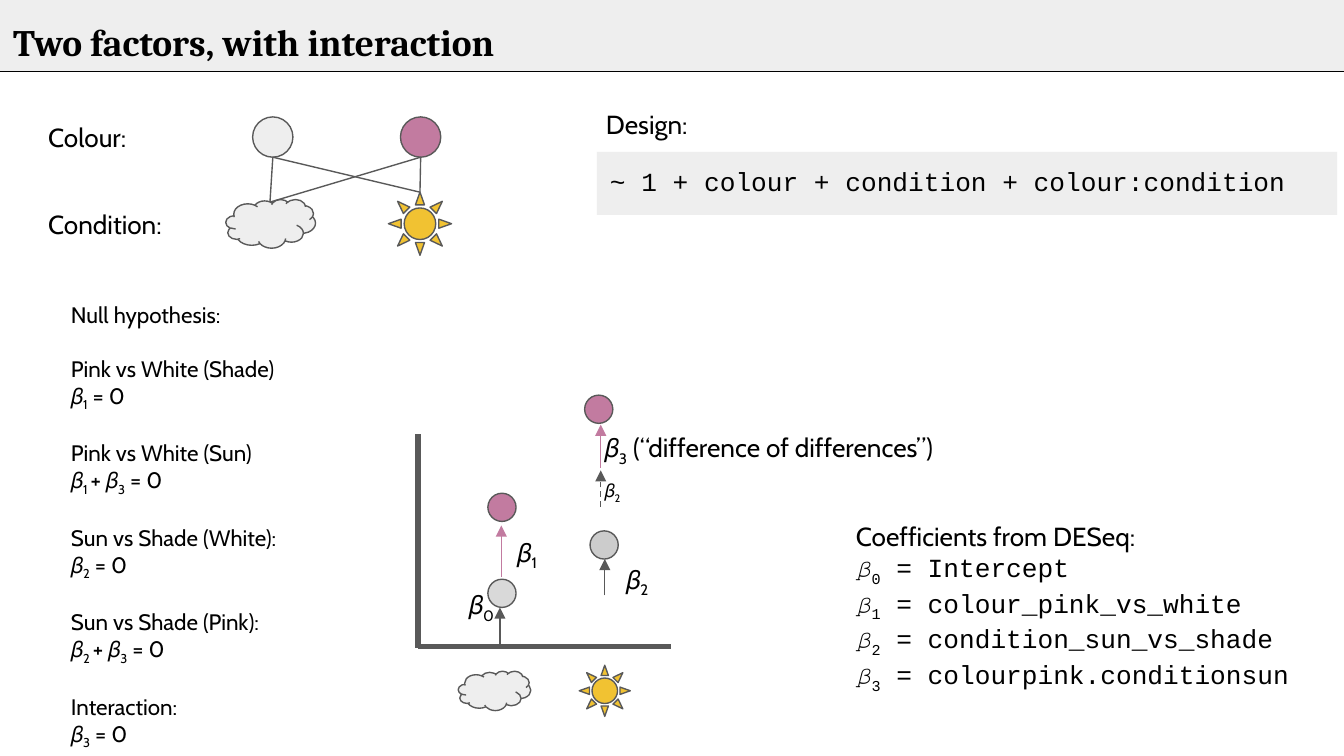
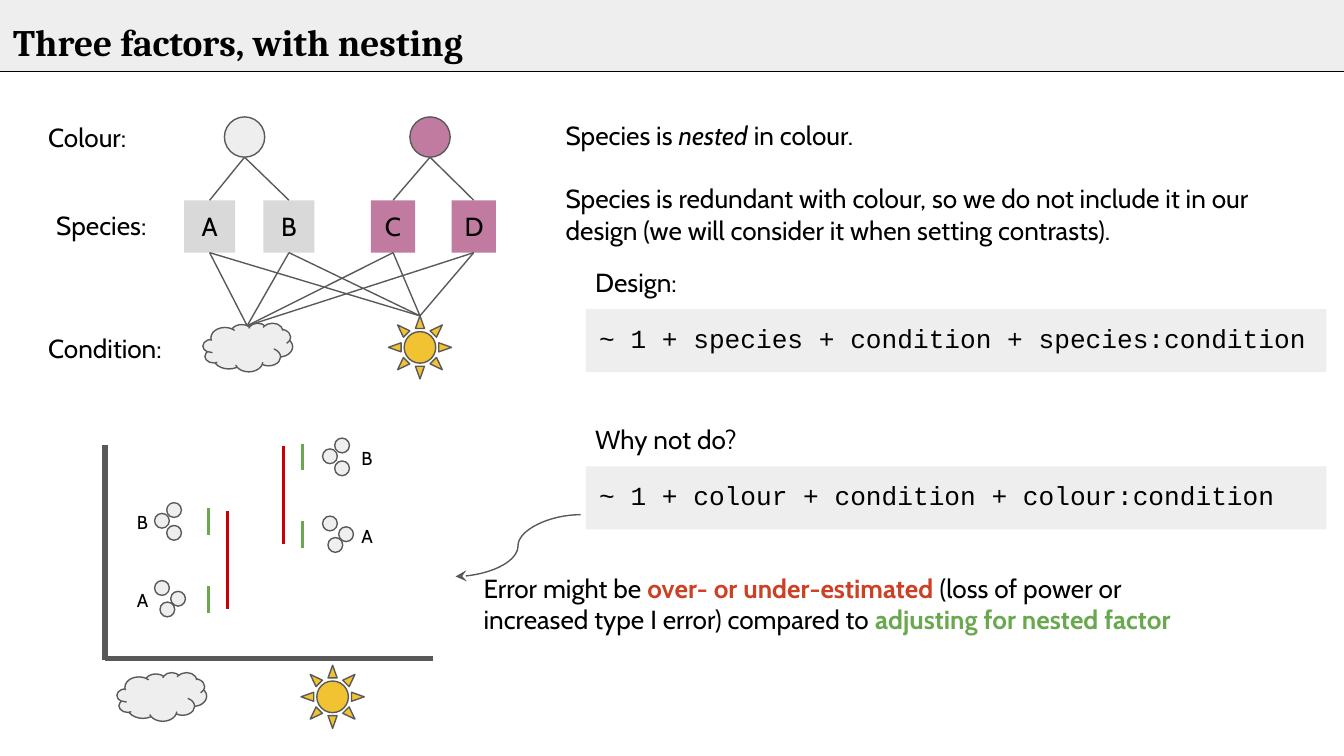
import dataclasses

import lxml.etree
import pptx
import pptx.dml.color
import pptx.enum.dml
import pptx.enum.shapes
import pptx.enum.text
import pptx.oxml.ns
import pptx.util

Inches = pptx.util.Inches
SHAPE = pptx.enum.shapes.MSO_SHAPE
CONNECTOR = pptx.enum.shapes.MSO_CONNECTOR


@dataclasses.dataclass(frozen=True)
class Theme:
    """Colours, fonts and type sizes shared by the slides."""
    ink: str = "000000"
    outline: str = "595959"
    panel: str = "EEEEEE"
    white_flower: str = "EEEEEE"
    pale: str = "EFEFEF"
    light: str = "D9D9D9"
    medium: str = "CCCCCC"
    pink: str = "C27BA0"
    sun: str = "F1C232"
    total_error: str = "CC0000"
    nested_error: str = "6AA84F"
    warning: str = "CC4125"
    body_font: str = "Cabin"
    title_font: str = "Cambria"
    code_font: str = "Courier New"
    title_size: float = 20
    body_size: float = 14
    list_size: float = 12
    small_size: float = 10
    thin: float = 0.75
    medium_line: float = 1.5
    thick: float = 3


THEME = Theme()


def rgb(colour):
    """Turn a hex string into a colour."""
    return pptx.dml.color.RGBColor.from_string(colour)


def plain(text):
    """Return one paragraph with a single unstyled span."""
    return [(text, "")]


def beta(index, rest=""):
    """Return the spans of a coefficient with its subscript."""
    return [("𝛽", ""), (index, "sub")] + ([(rest, "")] if rest else [])


def style_span(span, style, size, font, bold):
    """Format one run according to its style name."""
    colours = {"warning": THEME.warning, "adjusted": THEME.nested_error}
    span.font.size = pptx.util.Pt(size)
    span.font.name = font
    span.font.bold = bold or style in colours
    span.font.italic = style == "italic"
    span.font.color.rgb = rgb(colours.get(style, THEME.ink))
    if style == "sub":
        span.font._element.set("baseline", "-25000")


def write(box, paragraphs, size=THEME.body_size, font=THEME.body_font, bold=False, centred=False):
    """Fill a shape with paragraphs of styled spans."""
    frame = box.text_frame
    frame.word_wrap = True
    frame.margin_left = frame.margin_right = Inches(0.1)
    frame.margin_top = frame.margin_bottom = Inches(0.1)
    anchor = pptx.enum.text.MSO_ANCHOR
    frame.vertical_anchor = anchor.MIDDLE if centred else anchor.TOP
    for number, spans in enumerate(paragraphs):
        para = frame.add_paragraph() if number else frame.paragraphs[0]
        align = pptx.enum.text.PP_ALIGN
        para.alignment = align.CENTER if centred else align.LEFT
        for text, style in spans:
            span = para.add_run()
            span.text = text
            style_span(span, style, size, font, bold)
    return frame


def add_text(page, left, top, width, height, paragraphs, **style):
    """Place a text box and return its frame."""
    box = page.shapes.add_textbox(Inches(left), Inches(top), Inches(width), Inches(height))
    return write(box, paragraphs, **style)


def add_shape(page, kind, left, top, width, height, fill, outlined=True):
    """Place a flat filled shape."""
    shape = page.shapes.add_shape(kind, Inches(left), Inches(top), Inches(width), Inches(height))
    shape.shadow.inherit = False
    shape.fill.solid()
    shape.fill.fore_color.rgb = rgb(fill)
    if outlined:
        shape.line.color.rgb = rgb(THEME.outline)
        shape.line.width = pptx.util.Pt(THEME.thin)
    else:
        shape.line.fill.background()
    return shape


def add_line(page, start, end, colour=THEME.outline, width=THEME.thin,
             head=None, dashed=False, kind=CONNECTOR.STRAIGHT):
    """Draw a connector, with an arrowhead at its end if one is named."""
    line = page.shapes.add_connector(kind, *(Inches(value) for value in (*start, *end)))
    line.line.color.rgb = rgb(colour)
    line.line.width = pptx.util.Pt(width)
    if dashed:
        line.line.dash_style = pptx.enum.dml.MSO_LINE.DASH
    if head:
        stroke = line.line._get_or_add_ln()
        lxml.etree.SubElement(stroke, pptx.oxml.ns.qn("a:tailEnd"), type=head)
    lxml.etree.SubElement(line._element.spPr, pptx.oxml.ns.qn("a:effectLst"))
    return line


def add_dot(page, left, top, size, fill):
    """Draw a flower dot and return the middle of its lower edge."""
    add_shape(page, SHAPE.OVAL, left, top, size, size, fill)
    return left + size / 2, top + size


def condition_icons(page, cloud_left, sun_left, top, size):
    """Draw shade and sun, and return where links reach them."""
    cloud_height = 0.77 * size
    cloud_top = top + (size - cloud_height) / 2
    add_shape(page, SHAPE.CLOUD, cloud_left, cloud_top, 1.42 * size, cloud_height, THEME.panel)
    add_shape(page, SHAPE.SUN, sun_left, top, size, size, THEME.sun)
    return (cloud_left + 0.7 * size, cloud_top + 0.02), (sun_left + size / 2, top)


def factor_label(page, left, top, text):
    """Name one row of a factor diagram."""
    add_text(page, left, top, 1.08, 0.57, [plain(text)])


def design_panel(page, left, top, caption, code, caption_width=0.91):
    """Show a model formula on a grey panel below its caption."""
    add_text(page, left - 0.03, top - 0.42, caption_width, 0.47, [plain(caption)])
    panel = add_shape(page, SHAPE.RECTANGLE, left, top, 5.51, 0.47, THEME.panel, False)
    write(panel, [plain(code)], font=THEME.code_font)


def plot_axes(page, left, top, width, height):
    """Draw the two thick axes of a plot."""
    base = top + height
    add_line(page, (left, base), (left + width, base), width=THEME.thick)
    add_line(page, (left, base + 0.01), (left, top), width=THEME.thick)


def crossed_diagram(page, left, top):
    """Show every colour linked to every condition."""
    factor_label(page, left, top, "Colour:")
    factor_label(page, left, top + 0.65, "Condition:")
    white = add_dot(page, left + 1.62, top + 0.07, 0.3, THEME.white_flower)
    pink = add_dot(page, left + 2.72, top + 0.07, 0.3, THEME.pink)
    conditions = condition_icons(page, left + 1.42, left + 2.63, top + 0.63, 0.47)
    for colour in (white, pink):
        for condition in conditions:
            add_line(page, colour, condition)


def nested_diagram(page, left, top):
    """Show species nested in colour and crossed with condition."""
    for dx, dy, text in ((0, 0, "Colour:"), (0.06, 0.66, "Species:"), (0, 1.57, "Condition:")):
        factor_label(page, left + dx, top + dy, text)
    conditions = condition_icons(page, left + 1.25, left + 2.63, top + 1.55, 0.47)
    colours = (
        (1.41, THEME.white_flower, THEME.light, 0.38, (("A", 1.11), ("B", 1.7))),
        (2.79, THEME.pink, THEME.pink, 0.33, (("C", 2.5), ("D", 3.1))),
    )
    for dot_dx, dot_fill, fill, width, species in colours:
        parent = add_dot(page, left + dot_dx, top + 0.07, 0.3, dot_fill)
        for name, dx in species:
            box = add_shape(page, SHAPE.RECTANGLE, left + dx, top + 0.69, width, 0.39, fill, False)
            write(box, [plain(name)], centred=True)
            middle = left + dx + width / 2
            add_line(page, parent, (middle, top + 0.69)).end_connect(box, 0)
            for condition in conditions:
                add_line(page, (middle, top + 1.08), condition).begin_connect(box, 2)


def hypotheses(page, left, top):
    """List the null hypothesis of each contrast."""
    contrasts = (
        ("Pink vs White (Shade)", beta("1", " = 0")),
        ("Pink vs White (Sun)", beta("1 ", "+ ") + beta("3", " = 0")),
        ("Sun vs Shade (White):", beta("2", " = 0")),
        ("Sun vs Shade (Pink):", beta("2 ", "+ ") + beta("3", " = 0")),
        ("Interaction:", beta("3", " = 0")),
    )
    paragraphs = [plain("Null hypothesis:")]
    for name, equation in contrasts:
        paragraphs += [plain(name), equation]
    frame = add_text(page, left, top, 2.24, 3.43, paragraphs, size=THEME.list_size)
    for para in frame.paragraphs[1::2]:
        para.space_before = pptx.util.Pt(14.5)


def interaction_plot(page, left, top):
    """Plot the four group means and the coefficients between them."""
    plot_axes(page, left, top, 1.88, 1.58)
    condition_icons(page, left + 0.3, left + 1.2, top + 1.72, 0.38)
    dots = ((0.52, 1.08, THEME.light), (0.52, 0.44, THEME.pink),
            (1.28, 0.72, THEME.medium), (1.24, -0.29, THEME.pink))
    for dx, dy, fill in dots:
        add_dot(page, left + dx, top + dy, 0.21, fill)
    arrows = ((0.61, 1.56, 1.29, THEME.outline, False), (0.62, 1.06, 0.68, THEME.pink, False),
              (1.39, 1.2, 0.93, THEME.outline, False), (1.36, 0.54, 0.27, THEME.outline, True),
              (1.36, 0.25, -0.07, THEME.pink, False))
    for dx, start, end, colour, dashed in arrows:
        add_line(page, (left + dx, top + start), (left + dx, top + end), colour,
                 head="triangle", dashed=dashed)
    big, small = THEME.body_size, THEME.small_size
    labels = ((0.28, 1.05, 0.54, big, beta("0")), (0.64, 0.66, 0.54, big, beta("1")),
              (1.45, 0.86, 0.54, big, beta("2")), (1.29, 0.24, 0.54, small, beta("2")),
              (1.29, -0.12, 4.18, big, beta("3", " (“difference of differences”)")))
    for dx, dy, width, size, spans in labels:
        add_text(page, left + dx, top + dy, width, 0.47, [spans], size=size)


def coefficients(page, left, top):
    """Match each coefficient with its name in the results."""
    names = ("Intercept", "colour_pink_vs_white", "condition_sun_vs_shade", "colourpink.conditionsun")
    paragraphs = [plain("Coefficients from DESeq:")]
    paragraphs += [beta(str(index), f" = {name}") for index, name in enumerate(names)]
    frame = add_text(page, left, top, 3.47, 1.59, paragraphs, font=THEME.code_font)
    frame.paragraphs[0].runs[0].font.name = THEME.body_font


def nested_plot(page, left, top):
    """Plot replicates per species with nested and total error bars."""
    plot_axes(page, left, top, 2.44, 1.59)
    condition_icons(page, left + 0.09, left + 1.46, top + 1.64, 0.47)
    clusters = (("B", 0, ((0.09, 0), (0, 0.08), (0.09, 0.17))),
                ("A", 0.58, ((0, 0), (0.12, 0.08), (0.04, 0.16))))
    columns = ((0.37, 0.14, 0.77, 0.91, 0.43, THEME.white_flower),
               (1.62, 1.81, 1.47, 1.33, -0.05, THEME.pale))
    for dots_dx, name_dx, nested_dx, total_dx, column_dy, fill in columns:
        column_top = top + column_dy
        for name, dy, replicates in clusters:
            cluster_top = column_top + dy
            for dot_dx, dot_dy in replicates:
                add_dot(page, left + dots_dx + dot_dx, cluster_top + dot_dy, 0.11, fill)
            add_text(page, left + name_dx, cluster_top - 0.02, 0.33, 0.36,
                     [plain(name)], size=THEME.small_size)
            nested = left + nested_dx
            add_line(page, (nested, cluster_top + 0.04), (nested, cluster_top + 0.24),
                     THEME.nested_error, THEME.medium_line)
        total = left + total_dx
        add_line(page, (total, column_top + 0.06), (total, column_top + 0.79),
                 THEME.total_error, THEME.medium_line)


def nesting_notes(page, left, top):
    """Explain why species replaces colour in the design."""
    frame = add_text(page, left, top, 5.51, 0.96, [
        [("Species is ", ""), ("nested", "italic"), (" in colour.", "")],
        plain("Species is redundant with colour, so we do not include it in our design "
              "(we will consider it when setting contrasts)."),
    ])
    frame.paragraphs[1].space_before = pptx.util.Pt(17)


def error_note(page, left, top):
    """Warn about the error estimate, with an arrow to the plot."""
    add_line(page, (left + 0.82, top - 0.33), (left - 0.11, top + 0.13),
             head="stealth", kind=CONNECTOR.CURVE)
    add_text(page, left, top, 5.51, 0.74, [[
        ("Error might be ", ""), ("over- or under-estimated", "warning"),
        (" (loss of power or increased type I error) compared to ", ""),
        ("adjusting for nested factor", "adjusted"),
    ]])


def titled_page(deck, title):
    """Add a slide with the grey band, its rule and the title."""
    page = deck.slides.add_slide(deck.slide_layouts[6])
    add_shape(page, SHAPE.RECTANGLE, 0, 0, 10, 0.53, THEME.panel, False)
    add_line(page, (0, 0.53), (10, 0.53), THEME.ink)
    add_text(page, 0, 0.04, 9.32, 0.63, [plain(title)],
             size=THEME.title_size, font=THEME.title_font, bold=True)
    return page


def interaction_page(deck):
    """Build the slide on two crossed factors."""
    page = titled_page(deck, "Two factors, with interaction")
    crossed_diagram(page, 0.26, 0.8)
    design_panel(page, 4.44, 1.13, "Design:", "~ 1 + colour + condition + colour:condition")
    hypotheses(page, 0.43, 2.14)
    interaction_plot(page, 3.11, 3.23)
    coefficients(page, 6.27, 3.77)


def nesting_page(deck):
    """Build the slide on three factors with nesting."""
    page = titled_page(deck, "Three factors, with nesting")
    nested_diagram(page, 0.26, 0.8)
    nesting_notes(page, 4.11, 0.79)
    design_panel(page, 4.36, 2.3, "Design:", "~ 1 + species + condition + species:condition")
    design_panel(page, 4.36, 3.47, "Why not do?", "~ 1 + colour + condition + colour:condition", 2.06)
    nested_plot(page, 0.78, 3.31)
    error_note(page, 3.5, 4.16)


def main():
    """Build and save the deck."""
    deck = pptx.Presentation()
    deck.slide_width = Inches(10)
    deck.slide_height = Inches(10 * 9 / 16)
    interaction_page(deck)
    nesting_page(deck)
    deck.save("out.pptx")


if __name__ == "__main__":
    main()
